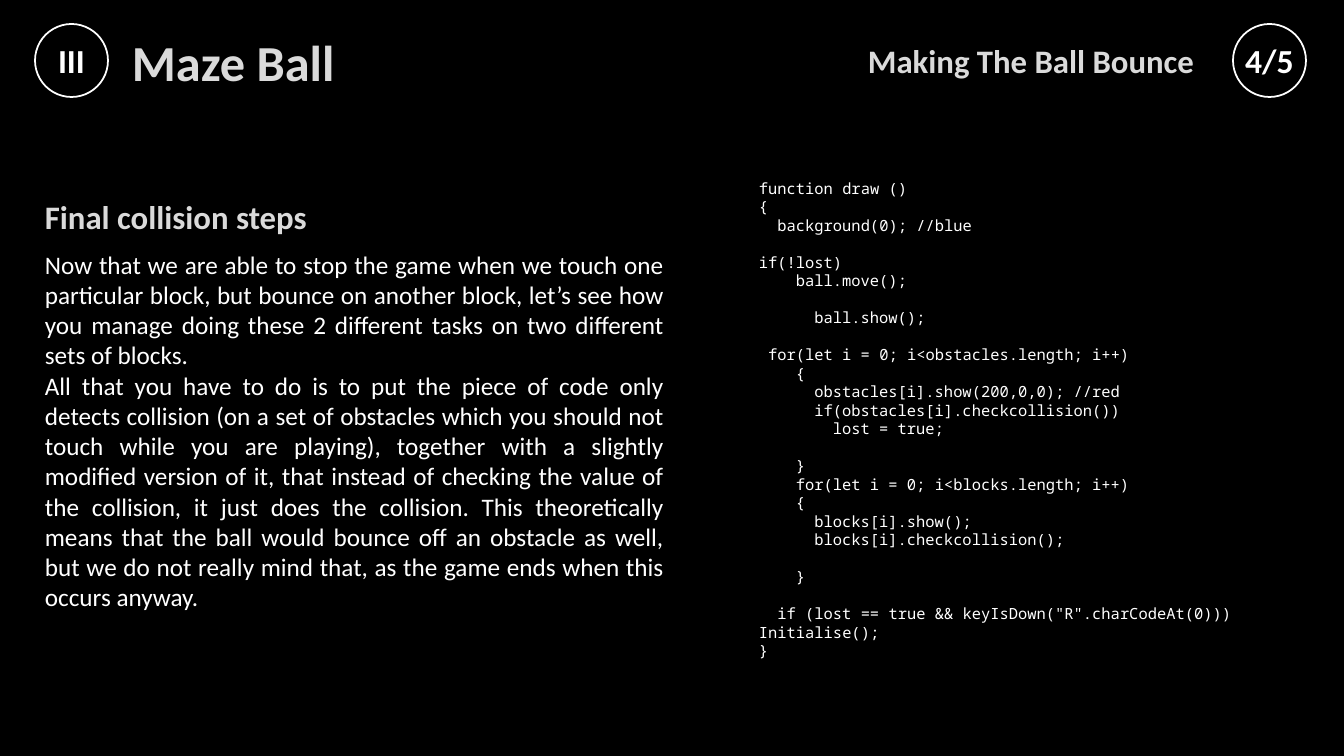
import pptx
import pptx.util
import pptx.dml.color
import pptx.enum.shapes
import pptx.enum.text

EMU_PER_PX = 914400 / 100.8
WHITE, GREY, BLACK = "FFFFFF", "DADADA", "000000"
CODE_SIZE = 11
CODE_CHAR = 6.6
CODE_LINE = 13.2
ALIGN = pptx.enum.text.PP_ALIGN
ANCHOR = pptx.enum.text.MSO_ANCHOR

BODY = [
    "Now that we are able to stop the game when we touch one particular block, "
    "but bounce on another block, let’s see how you manage doing these 2 "
    "different tasks on two different sets of blocks.",
    "All that you have to do is to put the piece of code only detects collision "
    "(on a set of obstacles which you should not touch while you are playing), "
    "together with a slightly modified version of it, that instead of checking "
    "the value of the collision, it just does the collision. This theoretically "
    "means that the ball would bounce off an obstacle as well, but we do not "
    "really mind that, as the game ends when this occurs anyway.",
]

CODE = """function draw ()
{
  background(0); //blue

if(!lost)
    ball.move();

      ball.show();

 for(let i = 0; i<obstacles.length; i++)
    {
      obstacles[i].show(200,0,0); //red
      if(obstacles[i].checkcollision())
        lost = true;

    }
    for(let i = 0; i<blocks.length; i++)
    {
      blocks[i].show();
      blocks[i].checkcollision();

    }

  if (lost == true && keyIsDown("R".charCodeAt(0))) Initialise();
}"""


def px(*lengths):
    return [round(length * EMU_PER_PX) for length in lengths]


def rgb(value):
    return pptx.dml.color.RGBColor.from_string(value)


def style(para, size, color=WHITE, bold=False, align=ALIGN.LEFT, name="Calibri"):
    para.alignment = align
    para.font.name = name
    para.font.size = pptx.util.Pt(size)
    para.font.bold = bold
    para.font.color.rgb = rgb(color)


def add_paragraphs(frame, lines):
    """Fill an empty frame with one paragraph per line and return them."""
    paras = []
    for line in lines:
        para = frame.add_paragraph() if paras else frame.paragraphs[0]
        para.text = line
        paras.append(para)
    return paras


def add_frame(page, left, top, width, height, anchor=ANCHOR.TOP):
    box = page.shapes.add_textbox(*px(left, top, width, height))
    box.text_frame.word_wrap = True
    box.text_frame.vertical_anchor = anchor
    return box.text_frame


def add_heading(page, text, place, size, align=ALIGN.LEFT):
    frame = add_frame(page, *place, anchor=ANCHOR.MIDDLE)
    for para in add_paragraphs(frame, [text]):
        style(para, size, GREY, True, align)


def add_body(page, lines, place):
    for para in add_paragraphs(add_frame(page, *place), lines):
        style(para, 18, align=ALIGN.JUSTIFY)


def add_code(page, code, place):
    """Show code, turning leading spaces into indents and blank lines into gaps."""
    lines = code.split("\n")
    shown = [line.strip() for line in lines if line]
    paras = iter(add_paragraphs(add_frame(page, *place), shown))
    gap = 0
    for line in lines:
        if not line:
            gap = CODE_LINE
            continue
        para = next(paras)
        style(para, CODE_SIZE, name="Noto Sans Mono")
        para.line_spacing = pptx.util.Pt(CODE_LINE)
        para.space_before = pptx.util.Pt(gap)
        depth = len(line) - len(line.lstrip())
        properties = para._p.get_or_add_pPr()
        properties.set("marL", "0")
        properties.set("indent", str(pptx.util.Pt(depth * CODE_CHAR)))
        gap = 0


def add_badge(page, text, left):
    badge = page.shapes.add_shape(
        pptx.enum.shapes.MSO_SHAPE.OVAL, *px(left, 24, 73, 73))
    badge.shadow.inherit = False
    badge.fill.background()
    badge.line.color.rgb = rgb(WHITE)
    badge.line.width = pptx.util.Pt(1.25)
    frame = badge.text_frame
    frame.margin_left = frame.margin_right = 0
    frame.margin_top = frame.margin_bottom = 0
    frame.vertical_anchor = ANCHOR.MIDDLE
    for para in add_paragraphs(frame, [text]):
        style(para, 24, bold=True, align=ALIGN.CENTER)


def main():
    deck = pptx.Presentation()
    deck.slide_width, deck.slide_height = px(1344, 756)
    page = deck.slides.add_slide(deck.slide_layouts[6])
    page.background.fill.solid()
    page.background.fill.fore_color.rgb = rgb(BLACK)

    add_body(page, BODY, (35, 244, 639, 407))
    add_heading(page, "Final collision steps", (35, 172, 657, 89), 23.4)
    add_code(page, CODE, (749, 174, 595, 477))
    add_heading(page, "Maze Ball", (122, 34, 1040, 54), 36)
    add_badge(page, "III", 35)
    add_badge(page, "4/5", 1233)
    add_heading(page, "Making The Ball Bounce", (651, 16, 553, 89), 23.4, ALIGN.RIGHT)
    deck.save("out.pptx")


if __name__ == "__main__":
    main()
